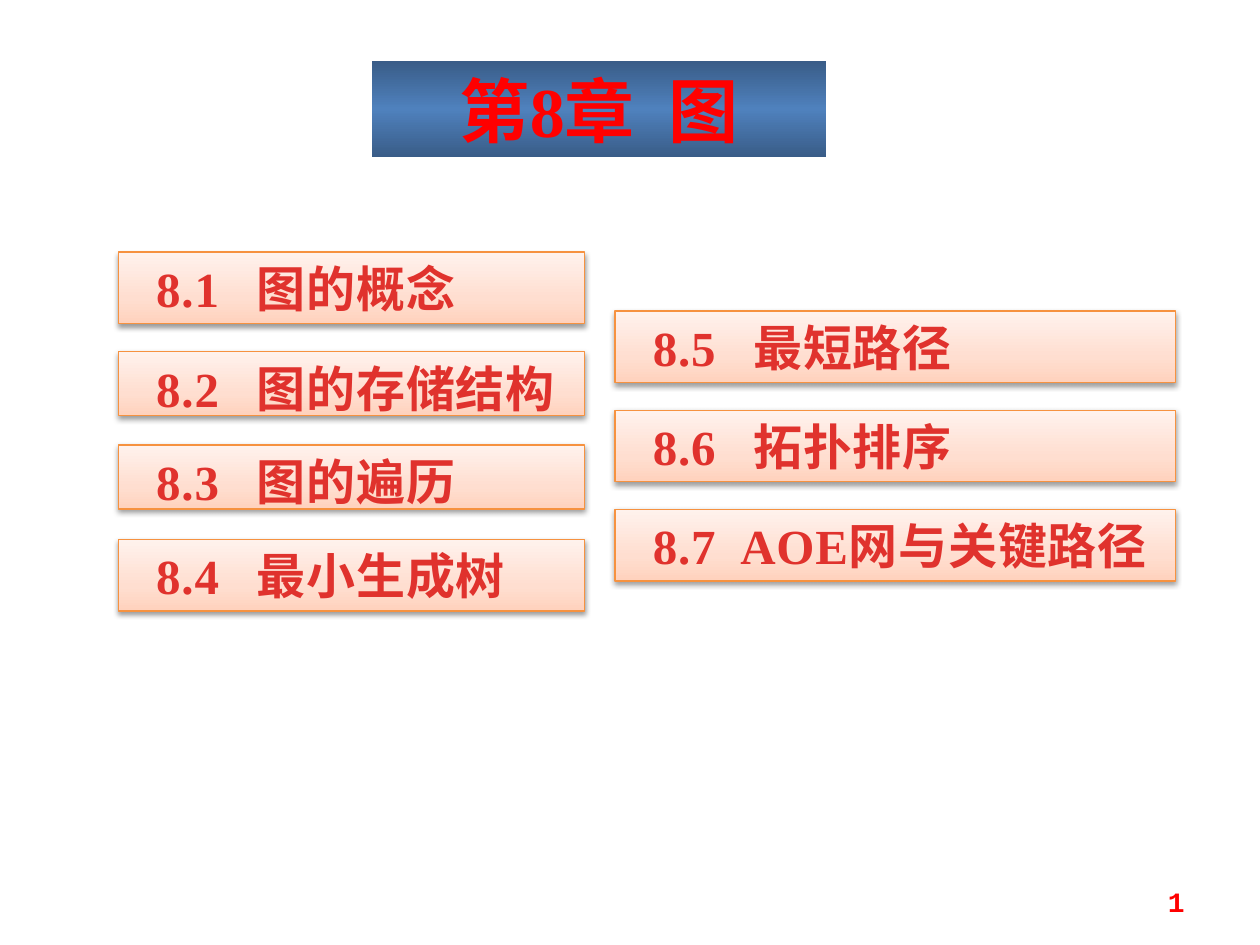
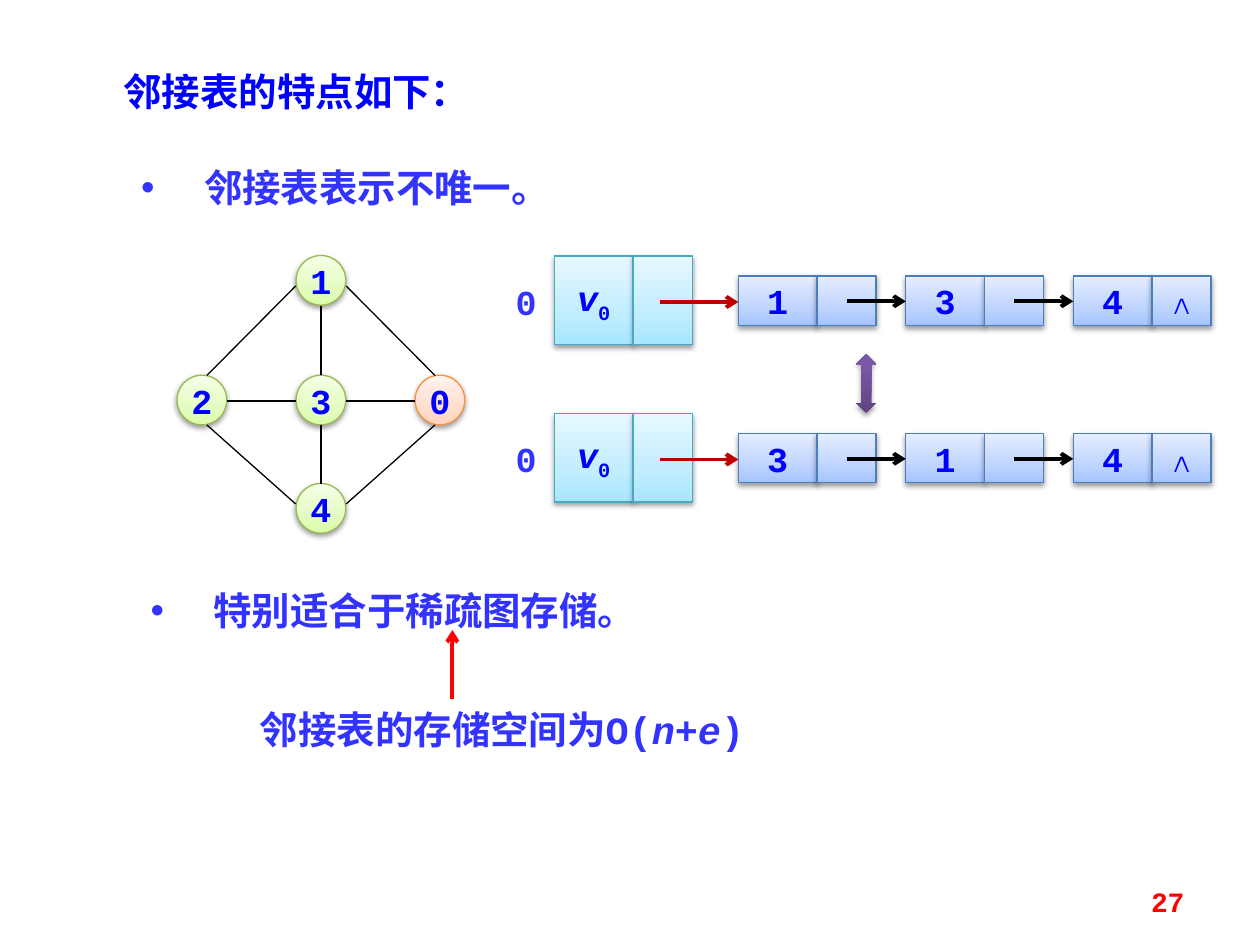
import dataclasses

import lxml.etree
import pptx
import pptx.dml.color
import pptx.enum.shapes
import pptx.enum.text
import pptx.oxml.ns
import pptx.util

Pt = pptx.util.Pt
qn = pptx.oxml.ns.qn
Kind = pptx.enum.shapes.MSO_SHAPE
Align = pptx.enum.text.PP_ALIGN


@dataclasses.dataclass(frozen=True)
class Theme:
    serif: str = "Times New Roman"
    mono: str = "Courier New"
    hans: str = "Noto Sans CJK SC"
    red: str = "FF0000"
    dark: str = "C00000"
    brick: str = "E0322D"
    blue: str = "0000FF"
    indigo: str = "3333FF"
    black: str = "000000"
    # Gradient stops (percent, colour), then the outline colour
    peach: tuple = (((0, "FFD2BD"), (35, "FFDED0"), (100, "FFF2ED")), "F69240")
    green: tuple = (((0, "DAFDA7"), (35, "E4FCC2"), (100, "F5FFE7")), "98B955")
    cell: tuple = (((0, "A4C4FF"), (35, "BFD4FF"), (100, "E6EEFF")), "4B7EBC")
    aqua: tuple = (((0, "A7E6FF"), (35, "C1EDFF"), (100, "E7F8FF")), "46AAC5")
    plum: tuple = (((0, "5F4480"), (80, "7B58A6"), (100, "7C57A8")), None)
    band: tuple = (((0, "395C87"), (50, "4F81BD"), (100, "395C87")), None)
    banner: int = 40
    topic: int = 28
    text: int = 22
    label: int = 20
    page: int = 16
    thin: float = 0.75
    thick: float = 2.25


def rgb(code):
    return pptx.dml.color.RGBColor.from_string(code)


def sub(node, tag, **attrs):
    return lxml.etree.SubElement(node, qn(tag), attrs)


def put(shape, text, size, color, font, align=Align.CENTER, pad=(7.2, 0, 7.2, 0),
        wrap=True, space=0, bullet=False, tab=None):
    """Set one paragraph; text is a string or a list of (string, run options)."""
    frame = shape.text_frame
    frame.auto_size = pptx.enum.text.MSO_AUTO_SIZE.NONE
    frame.word_wrap = wrap
    frame.vertical_anchor = pptx.enum.text.MSO_ANCHOR.MIDDLE
    (frame.margin_left, frame.margin_top,
     frame.margin_right, frame.margin_bottom) = map(Pt, pad)
    para = frame.paragraphs[0]
    props = para._p.get_or_add_pPr()
    if bullet:
        props.set("marL", str(Pt(36)))
        props.set("indent", str(Pt(-36)))
        sub(props, "a:buFont", typeface="Arial")
        sub(props, "a:buChar", char="•")
    if tab:
        sub(sub(props, "a:tabLst"), "a:tab", pos=str(Pt(tab)), algn="l")
    para.alignment = align
    para.space_before = Pt(0)
    for part, opts in [(text, {})] if isinstance(text, str) else text:
        run = para.add_run()
        run.text = part
        run.font.size = Pt(size)
        run.font.bold = True
        run.font.italic = opts.get("italic", False)
        run.font.name = font
        run.font.color.rgb = rgb(color)
        mark = run._r.get_or_add_rPr()
        mark.set("spc", str(int(100 * opts.get("space", space))))
        if "base" in opts:
            mark.set("baseline", str(1000 * opts["base"]))
        sub(mark, "a:ea", typeface=Theme.hans)


class Deck:
    def __init__(self, theme):
        self.theme = theme
        self.show = pptx.Presentation()
        self.show.slide_width, self.show.slide_height = Pt(720), Pt(540)
        self.slide = None

    def add(self, layout, page):
        """Start a slide with its page number."""
        self.slide = self.show.slides.add_slide(self.show.slide_layouts[layout])
        self.note(page, (516.2, 500.4, 167.8, 28.8), size=self.theme.page,
                  color=self.theme.red, align=Align.RIGHT)

    def hold(self, index, text, box, **fmt):
        """Fill and move a placeholder."""
        shape = self.slide.placeholders[index]
        shape.left, shape.top, shape.width, shape.height = map(Pt, box)
        put(shape, text, **fmt)
        return shape

    def note(self, text, box, **fmt):
        """Add a text box."""
        fmt = {"size": self.theme.label, "color": self.theme.indigo,
               "font": self.theme.mono, **fmt}
        put(self.slide.shapes.add_textbox(*map(Pt, box)), text, **fmt)

    def paint(self, shape, look):
        """Give a shape a vertical gradient and an outline."""
        stops, edge = look
        shape.fill.gradient()
        shape.fill.gradient_angle = 90
        ramp = next(shape._element.iter(qn("a:gsLst")))
        for stop in list(ramp):
            ramp.remove(stop)
        for pos, color in stops:
            sub(sub(ramp, "a:gs", pos=str(pos * 1000)), "a:srgbClr", val=color)
        if edge:
            shape.line.color.rgb = rgb(edge)
            shape.line.width = Pt(self.theme.thin)
        else:
            shape.line.fill.background()

    def block(self, kind, box, look, text=None, **fmt):
        """Add a shaded shape with a soft shadow."""
        shape = self.slide.shapes.add_shape(kind, *map(Pt, box))
        self.paint(shape, look)
        shape.shadow.inherit = False
        fx = shape._element.spPr.find(qn("a:effectLst"))
        cast = sub(fx, "a:outerShdw", blurRad=str(Pt(3.1)), dist=str(Pt(1.6)),
                   dir="5400000", rotWithShape="0")
        shade = sub(cast, "a:srgbClr", val=self.theme.black)
        sub(shade, "a:alpha", val="38000")
        if text:
            fmt = {"size": self.theme.label, "color": self.theme.blue,
                   "font": self.theme.mono, "wrap": False, **fmt}
            put(shape, text, **fmt)

    def line(self, start, end, color=Theme.black, arrow=False):
        link = self.slide.shapes.add_connector(
            pptx.enum.shapes.MSO_CONNECTOR.STRAIGHT, *map(Pt, start + end))
        link.line.color.rgb = rgb(color)
        link.line.width = Pt(self.theme.thick if arrow else self.theme.thin)
        if arrow:
            sub(link.line._get_or_add_ln(), "a:tailEnd", type="arrow")
        sub(link._element.spPr, "a:effectLst")


def topics(deck):
    look = deck.theme
    deck.add(5, "1")
    title = deck.hold(0, [("第8章", {}), (" ", {"space": 10}), ("图", {})],
                      (212.4, 34.6, 259.9, 55.4), size=look.banner,
                      color=look.red, font=look.serif)
    deck.paint(title, look.band)
    full, low = 41, 36.7
    left, right = (67.7, 266.4), (351.4, 320.4)
    rows = [("8.1\t图的概念", left, 144, full),
            ("8.2\t图的存储结构", left, 200.9, low),
            ("8.3\t图的遍历", left, 254.2, low),
            ("8.4\t最小生成树", left, 308.2, full),
            ("8.5\t最短路径", right, 177.8, full),
            ("8.6\t拓扑排序", right, 234.4, full),
            ("8.7\tAOE网与关键路径", right, 291, full)]
    for text, (x, width), y, high in rows:
        deck.block(Kind.RECTANGLE, (x, y, width, high), look.peach, text,
                   size=look.topic, color=look.brick, font=look.serif,
                   align=Align.LEFT, pad=(21.6, full - high, 0, 0), wrap=True,
                   space=0.5, tab=50 if "AOE" in text else 57.5)


def graph(deck):
    look = deck.theme
    mid, size = 183.4, 28.4
    nodes = [("1", 0, 160.2), ("3", 0, 228.6), ("2", -68, 228.6),
             ("0", 68, 228.6), ("4", 0, 290.5)]
    for text, dx, y in nodes:
        deck.block(Kind.OVAL, (mid + dx - size / 2, y - size / 2, size, size),
                   look.peach if text == "0" else look.green, text, pad=(0,) * 4)
    for side in (-1, 1):
        near, far = mid + 14.4 * side, mid + 65.2 * side
        deck.line((near, 163.4), (far, 214.6))
        deck.line((near, 229.2), (mid + 53.8 * side, 229.2))
        deck.line((far, 242.8), (near, 288))
    for top, end in ((174.6, 214.2), (242.8, 276.4)):
        deck.line((mid, top), (mid, end))


def chain(deck, top, keys):
    """Draw a head cell and the list of nodes that it points to."""
    look = deck.theme
    wide, slim, step, first = 45, 33.8, 95.7, 421.9
    axis = top + 26

    def pair(x, y, high, tint, text, end=None):
        deck.block(Kind.RECTANGLE, (x, y, wide, high), tint, text, pad=(0,) * 4)
        deck.block(Kind.RECTANGLE, (x + wide, y, slim, high), tint, end,
                   pad=(0,) * 4)

    for i, key in enumerate(keys):
        last = i == len(keys) - 1
        pair(first + i * step, top + 11.5, 28.2, look.cell, key,
             "∧" if last else None)
    for i in range(len(keys) - 1):
        x = first + i * step
        deck.line((x + 62, axis), (x + step, axis), arrow=True)
    pair(316.8, top, 50.6, look.aqua, [("v", {"italic": True}), ("0", {"base": -25})])
    deck.note("0", (286.6, top + 13.7, 28, 24.5), pad=(0,) * 4)
    deck.line((377, axis + 0.4), (first, axis + 0.4), look.dark, True)


def traits(deck):
    look = deck.theme
    deck.add(3, "27")
    base = {"size": look.text, "font": look.hans, "align": Align.LEFT}
    deck.hold(0, "邻接表的特点如下：", (63.4, 35.3, 341.3, 33.8),
              color=look.blue, **base)
    deck.hold(1, "邻接表表示不唯一。", (73.4, 90, 365.8, 33.8),
              color=look.indigo, bullet=True, **base)
    deck.hold(2, "特别适合于稀疏图存储。", (78.8, 332, 365.8, 33.8),
              color=look.indigo, bullet=True, **base)
    graph(deck)
    for i, keys in enumerate(("134", "314")):
        chain(deck, 146.2 + 90 * i, keys)
    deck.block(Kind.UP_DOWN_ARROW, (489.2, 202.3, 11.5, 33.8), look.plum)
    deck.line((258.5, 399.6), (258.5, 360), look.red, True)
    deck.note([("邻接表的存储空间为O(", {}), ("n+e", {"italic": True}), (")", {})],
              (123.8, 399.6, 326.2, 33.8), size=look.text)


def main():
    deck = Deck(Theme())
    topics(deck)
    traits(deck)
    deck.show.save("out.pptx")


if __name__ == "__main__":
    main()
